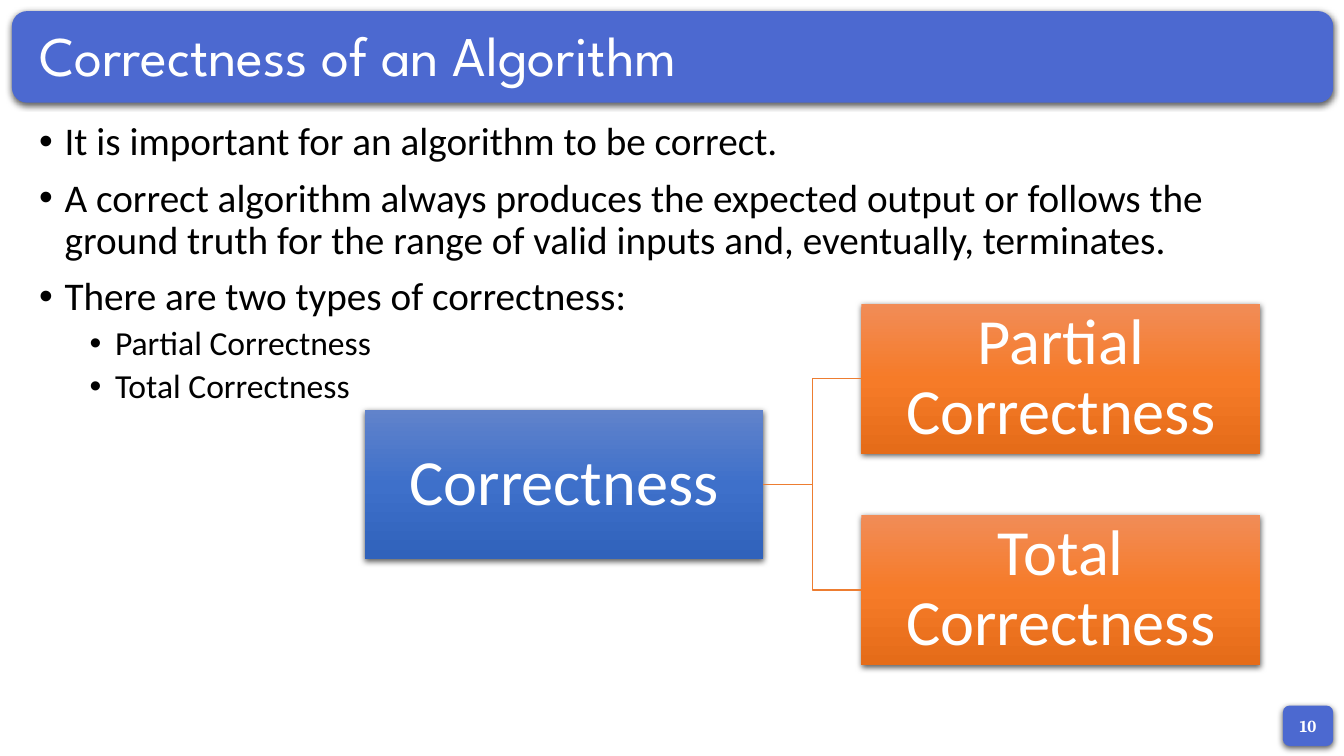
import pptx
import pptx.util
import pptx.dml.color
import pptx.enum.shapes
import pptx.enum.text
import pptx.oxml
import pptx.oxml.ns

Cm = pptx.util.Cm
Pt = pptx.util.Pt
KIND = pptx.enum.shapes.MSO_SHAPE
SIDE = pptx.enum.text.PP_ALIGN
MID = pptx.enum.text.MSO_ANCHOR.MIDDLE
NS = pptx.oxml.ns.nsdecls("a")
BLUE, ORANGE, WHITE = "4C69D0", "ED7D31", "FFFFFF"


def put(shape, lines, size, font="Calibri", color=WHITE, bold=False,
        align=SIDE.LEFT, anchor=MID, inset=None, space=0.9, bullet=False):
    """Fill a shape with (level, text) lines; deeper levels are smaller."""
    frame = shape.text_frame
    frame.word_wrap = True
    frame.auto_size = pptx.enum.text.MSO_AUTO_SIZE.NONE
    frame.vertical_anchor = anchor
    if inset is not None:
        frame.margin_left = frame.margin_right = Cm(inset)
        frame.margin_top = frame.margin_bottom = Cm(inset)
    for i, (level, text) in enumerate(lines):
        para = frame.add_paragraph() if i else frame.paragraphs[0]
        para.alignment = align
        para.line_spacing = space
        para.level = level
        run = para.add_run()
        run.text = text
        run.font.name = font
        run.font.size = Pt(size - 4 * level)
        run.font.bold = bold
        run.font.color.rgb = pptx.dml.color.RGBColor.from_string(color)
        if bullet:
            para.space_before = Pt(5 if level else 10)
            props = para._p.get_or_add_pPr()
            props.set("marL", str(Cm(0.64 + 1.27 * level)))
            props.set("indent", str(-Cm(0.64)))
            for mark in ('buFont %s typeface="Arial"', 'buChar %s char="•"'):
                props.append(pptx.oxml.parse_xml(f"<a:{mark % NS}/>"))


def block(kind, left, top, width, height, *colors):
    """Add a shadowed shape with a flat fill or an even downward gradient."""
    shape = slide.shapes.add_shape(kind, Cm(left), Cm(top), Cm(width), Cm(height))
    shape.line.fill.background()
    props = shape.element.spPr
    if len(colors) == 1:
        shape.fill.solid()
        shape.fill.fore_color.rgb = pptx.dml.color.RGBColor.from_string(colors[0])
    else:
        step = 100000 // (len(colors) - 1)
        stops = "".join(f'<a:gs pos="{i * step}"><a:srgbClr val="{c}"/></a:gs>'
                        for i, c in enumerate(colors))
        props.insert(2, pptx.oxml.parse_xml(
            f'<a:gradFill {NS} rotWithShape="1"><a:gsLst>{stops}</a:gsLst>'
            '<a:lin ang="5400000" scaled="0"/></a:gradFill>'))
    props.append(pptx.oxml.parse_xml(
        f'<a:effectLst {NS}><a:outerShdw blurRad="{Pt(4.5)}" dist="{Pt(1.5)}" '
        'dir="5400000" algn="ctr" rotWithShape="0"><a:srgbClr val="000000">'
        '<a:alpha val="63000"/></a:srgbClr></a:outerShdw></a:effectLst>'))
    return shape


deck = pptx.Presentation()
deck.slide_width, deck.slide_height = Cm(33.87), Cm(19.05)
slide = deck.slides.add_slide(deck.slide_layouts[5])

# Banner, title and page number
block(KIND.ROUNDED_RECTANGLE, 0.3, 0.28, 33.3, 2.31, BLUE)
title = slide.shapes.title
title.element.getparent().append(title.element)
title.left, title.top, title.width, title.height = Cm(0.74), Cm(0.64), Cm(32.41), Cm(1.65)
put(title, [(0, "Correctness of an Algorithm")], 40, font="League Spartan")
badge = block(KIND.ROUNDED_RECTANGLE, 32.33, 17.78, 1.27, 1.02, BLUE)
put(badge, [(0, "10")], 12, font="Cambria", bold=True, align=SIDE.CENTER, space=1.0)

# Bulleted text
body = slide.shapes.add_textbox(Cm(0.74), Cm(2.95), Cm(32.41), Cm(14.22))
put(body, [
    (0, "It is important for an algorithm to be correct."),
    (0, "A correct algorithm always produces the expected output or follows the "
        "ground truth for the range of valid inputs and, eventually, terminates."),
    (0, "There are two types of correctness:"),
    (1, "Partial Correctness"),
    (1, "Total Correctness"),
], 28, color="000000", anchor=pptx.enum.text.MSO_ANCHOR.TOP, bullet=True)

# Tree: one root, two leaves spaced evenly above and below it
wide, high, mid, shift = 10.05, 3.77, 10.32, 2.66
cool = ("6183CB", "3E70CA", "3062BB")
warm = ("F18C57", "F67B28", "E56C19")
nodes = []
for text, left, top, colors in (
        ("Correctness", 9.19, mid, cool),
        ("Partial Correctness", 21.71, mid - shift, warm),
        ("Total Correctness", 21.71, mid + shift, warm)):
    node = block(KIND.RECTANGLE, left, top, wide, high, *colors)
    put(node, [(0, text)], 46, align=SIDE.CENTER, inset=0.08)
    nodes.append(node)

root, *leaves = nodes
for leaf in leaves:
    link = slide.shapes.add_connector(pptx.enum.shapes.MSO_CONNECTOR.ELBOW, 0, 0, 0, 0)
    link.begin_connect(root, 3)
    link.end_connect(leaf, 1)
    link.line.width = Pt(1)
    link.line.color.rgb = pptx.dml.color.RGBColor.from_string(ORANGE)
    link.element.spPr.append(pptx.oxml.parse_xml(f"<a:effectLst {NS}/>"))

deck.save("out.pptx")
